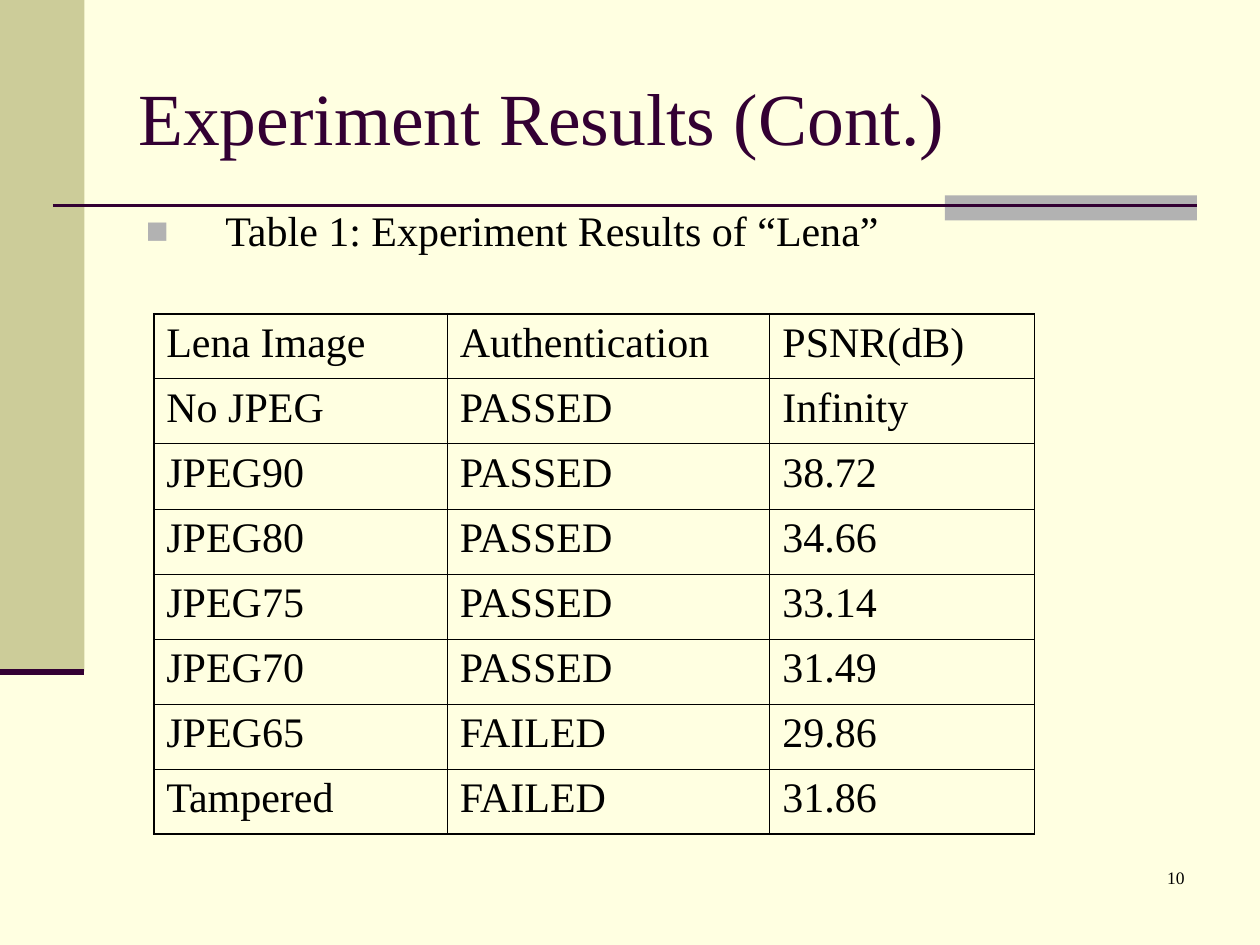
from dataclasses import dataclass

from lxml.etree import SubElement
from pptx import Presentation
from pptx.dml.color import RGBColor
from pptx.enum.shapes import MSO_CONNECTOR, MSO_SHAPE
from pptx.enum.text import MSO_ANCHOR, PP_ALIGN
from pptx.oxml.ns import qn
from pptx.util import Inches, Pt


@dataclass(frozen=True)
class Theme:
    font: str = "Times New Roman"
    background: str = "FFFFE1"
    band: str = "CCCC99"
    accent: str = "B2B2B2"
    dark: str = "330033"
    ink: str = "000000"
    title_size: int = 42
    body_size: int = 24
    number_size: int = 10
    outer_border: float = 1.08
    inner_border: float = 0.45


THEME = Theme()

RESULTS = [
    ("Lena Image", "Authentication", "PSNR(dB)"),
    ("No JPEG", "PASSED", "Infinity"),
    ("JPEG90", "PASSED", "38.72"),
    ("JPEG80", "PASSED", "34.66"),
    ("JPEG75", "PASSED", "33.14"),
    ("JPEG70", "PASSED", "31.49"),
    ("JPEG65", "FAILED", "29.86"),
    ("Tampered", "FAILED", "31.86"),
]
COLUMN_WIDTHS = (2.33, 2.56, 2.1)


def write_text(frame, text, size=THEME.body_size, color=THEME.ink,
               align=PP_ALIGN.LEFT, anchor=MSO_ANCHOR.TOP, line_spacing=None):
    frame.word_wrap = True
    frame.vertical_anchor = anchor
    para = frame.paragraphs[0]
    para.alignment = align
    para.line_spacing = line_spacing
    span = para.add_run()
    span.text = text
    span.font.name = THEME.font
    span.font.size = Pt(size)
    span.font.color.rgb = RGBColor.from_string(color)


def add_text_box(page, box, text, **text_format):
    frame = page.shapes.add_textbox(*map(Inches, box)).text_frame
    write_text(frame, text, **text_format)
    return frame


def add_block(page, box, color):
    block = page.shapes.add_shape(MSO_SHAPE.RECTANGLE, *map(Inches, box))
    block.shadow.inherit = False
    block.fill.solid()
    block.fill.fore_color.rgb = RGBColor.from_string(color)
    block.line.fill.background()


def add_rule(page, left, top, width, weight):
    rule = page.shapes.add_connector(
        MSO_CONNECTOR.STRAIGHT, Inches(left), Inches(top),
        Inches(left + width), Inches(top))
    rule.line.color.rgb = RGBColor.from_string(THEME.dark)
    rule.line.width = Pt(weight)
    SubElement(rule._element.spPr, qn("a:effectLst"))


def add_side_band(page, box):
    left, top, width, height = box
    add_block(page, box, THEME.band)
    add_rule(page, left, top + height, width, 3.5)


def add_title_divider(page, box):
    left, top, width, height = box
    tab_width = 2
    add_block(page, (left + width - tab_width, top, tab_width, height), THEME.accent)
    add_rule(page, left, top + 0.08, width, 1.5)


def add_caption(page, box, text):
    frame = add_text_box(page, box, text, line_spacing=0.9)
    # Square bullet with a hanging indent
    properties = frame.paragraphs[0]._p.get_or_add_pPr()
    properties.set("marL", str(Inches(0.63)))
    properties.set("indent", str(-Inches(0.63)))
    color = SubElement(properties, qn("a:buClr"))
    SubElement(color, qn("a:srgbClr"), val=THEME.accent)
    SubElement(properties, qn("a:buSzPct"), val="90000")
    SubElement(properties, qn("a:buFont"), typeface=THEME.font)
    SubElement(properties, qn("a:buChar"), char="■")


def set_borders(cell, outer_sides):
    properties = cell._tc.get_or_add_tcPr()
    for side in ("lnL", "lnR", "lnT", "lnB"):
        weight = THEME.outer_border if side in outer_sides else THEME.inner_border
        line = SubElement(properties, qn(f"a:{side}"), w=str(Pt(weight)))
        fill = SubElement(line, qn("a:solidFill"))
        SubElement(fill, qn("a:srgbClr"), val=THEME.ink)


def add_results_table(page, box, rows, column_widths):
    table = page.shapes.add_table(
        len(rows), len(column_widths), *map(Inches, box)).table
    table.first_row = table.horz_banding = False
    for column, width in zip(table.columns, column_widths):
        column.width = Inches(width)
    last_row, last_column = len(rows) - 1, len(column_widths) - 1
    for row_index, values in enumerate(rows):
        for column_index, value in enumerate(values):
            cell = table.cell(row_index, column_index)
            write_text(cell.text_frame, value)
            edges = {"lnL": column_index == 0, "lnR": column_index == last_column,
                     "lnT": row_index == 0, "lnB": row_index == last_row}
            set_borders(cell, [side for side, is_outer in edges.items() if is_outer])
            cell.fill.background()


def build_results_page(deck):
    page = deck.slides.add_slide(deck.slide_layouts[6])
    page.background.fill.solid()
    page.background.fill.fore_color.rgb = RGBColor.from_string(THEME.background)

    # Decoration
    add_side_band(page, (0, 0, 0.67, 5.33))
    add_title_divider(page, (0.42, 1.55, 9.08, 0.2))

    # Title and caption
    add_text_box(page, (1, 0.3, 8.5, 1.25), "Experiment Results (Cont.)",
                 size=THEME.title_size, color=THEME.dark, anchor=MSO_ANCHOR.MIDDLE)
    add_caption(page, (1.06, 1.62, 6.14, 0.47),
                "Table 1: Experiment Results of “Lena”")

    # Results
    add_results_table(page, (1.22, 2.49, sum(COLUMN_WIDTHS), 4.13),
                      RESULTS, COLUMN_WIDTHS)

    # Page number
    add_text_box(page, (7.42, 6.83, 2.08, 0.5), "10",
                 size=THEME.number_size, align=PP_ALIGN.RIGHT)


def main():
    deck = Presentation()
    deck.slide_width, deck.slide_height = Inches(10), Inches(7.5)
    build_results_page(deck)
    deck.save("out.pptx")


if __name__ == "__main__":
    main()
